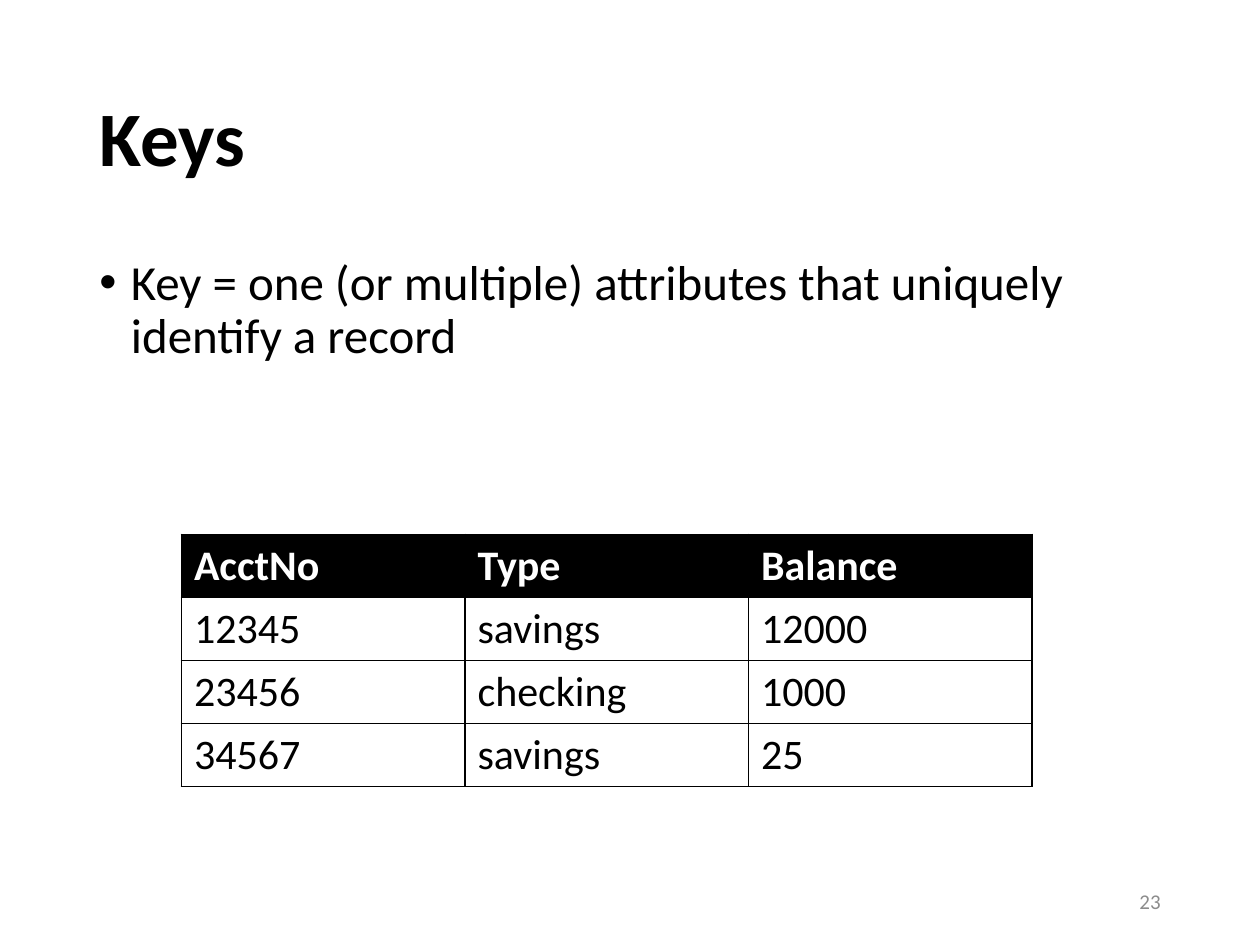
from lxml import etree
from pptx import Presentation
from pptx.dml.color import RGBColor
from pptx.enum.text import MSO_ANCHOR, PP_ALIGN
from pptx.oxml.ns import qn
from pptx.util import Inches, Pt

TOP, MIDDLE = MSO_ANCHOR.TOP, MSO_ANCHOR.MIDDLE
LEFT, RIGHT = PP_ALIGN.LEFT, PP_ALIGN.RIGHT
THEME = {
    "font": "Calibri",
    "black": RGBColor(0, 0, 0),
    "white": RGBColor(255, 255, 255),
    "gray": RGBColor(0x8C, 0x8C, 0x8C),
    "title": Pt(44),
    "body": Pt(28),
    "table": Pt(24),
    "number": Pt(12),
    "border": Pt(1),
}


def style_text(paragraph, size, color, bold=False):
    values = {"name": THEME["font"], "size": THEME[size], "bold": bold}
    for name, value in values.items():
        setattr(paragraph.font, name, value)
    paragraph.font.color.rgb = THEME[color]


def add_border(cell, side):
    line = etree.SubElement(cell._tc.get_or_add_tcPr(), qn(f"a:{side}"), w=str(THEME["border"]))
    fill = etree.SubElement(line, qn("a:solidFill"))
    etree.SubElement(fill, qn("a:srgbClr"), val=str(THEME["black"]))


presentation = Presentation()
presentation.slide_width = Inches(10)
presentation.slide_height = Inches(7.5)
slide = presentation.slides.add_slide(presentation.slide_layouts[6])

texts = [
    ("Keys", (0.69, 0.4, 8.62, 1.45), "title", "black", True, MIDDLE,
     {"line_spacing": 0.9, "alignment": LEFT}),
    ("Key = one (or multiple) attributes that uniquely identify a record",
     (0.69, 2, 8.62, 4.76), "body", "black", False, TOP,
     {"line_spacing": 0.9, "alignment": LEFT}),
    ("23", (7.06, 6.95, 2.25, 0.4), "number", "gray", False, MIDDLE,
     {"alignment": RIGHT}),
]
for text, box, size, color, bold, anchor, layout in texts:
    shape = slide.shapes.add_textbox(*map(Inches, box))
    frame = shape.text_frame
    frame.word_wrap = True
    frame.vertical_anchor = anchor
    frame.text = text
    paragraph = frame.paragraphs[0]
    for name, value in layout.items():
        setattr(paragraph, name, value)
    if size == "body":
        properties = paragraph._p.get_or_add_pPr()
        properties.set("marL", str(Inches(0.25)))
        properties.set("indent", str(-Inches(0.25)))
        etree.SubElement(properties, qn("a:buFont"), typeface="Arial")
        etree.SubElement(properties, qn("a:buChar"), char="•")
    style_text(paragraph, size, color, bold)

accounts = [
    ("AcctNo", "Type", "Balance"),
    ("12345", "savings", "12000"),
    ("23456", "checking", "1000"),
    ("34567", "savings", "25"),
]
table = slide.shapes.add_table(
    len(accounts), len(accounts[0]), Inches(1.44), Inches(4.24), Inches(6.75), Inches(2)
).table
for row_index, account in enumerate(accounts):
    header = row_index == 0
    for column_index, value in enumerate(account):
        cell = table.cell(row_index, column_index)
        cell.text = value
        style_text(cell.text_frame.paragraphs[0], "table", "white" if header else "black", header)
        for side in ("lnL", "lnR", "lnT", "lnB"):
            add_border(cell, side)
        cell.fill.solid()
        cell.fill.fore_color.rgb = THEME["black" if header else "white"]

presentation.save("out.pptx")
